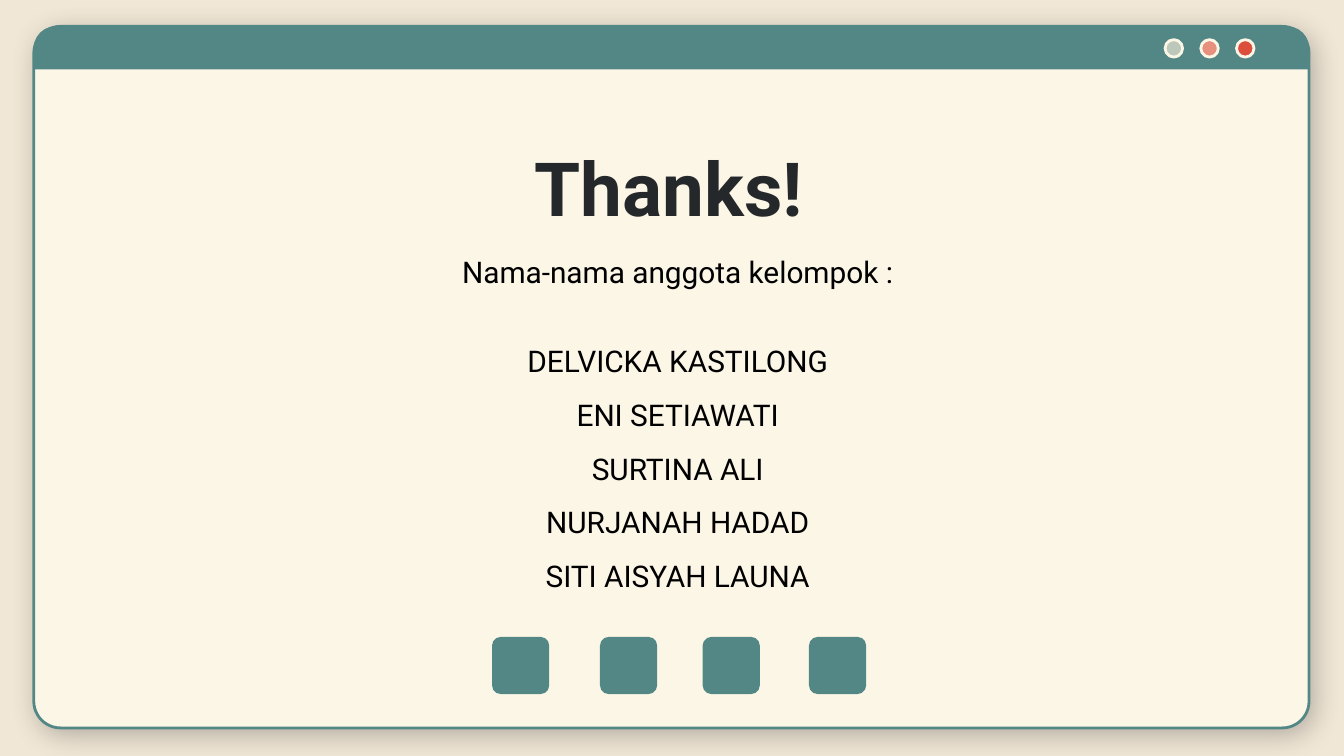
from lxml import etree
from pptx import Presentation
from pptx.dml.color import RGBColor
from pptx.enum.shapes import MSO_SHAPE as Preset
from pptx.enum.text import MSO_ANCHOR as Anchor, PP_ALIGN as Align
from pptx.oxml.ns import qn
from pptx.util import Cm, Pt

COLORS = {
    "backdrop": "F1E7D6",
    "window": "FCF6E7",
    "teal": "538786",
    "sage": "BBC8BA",
    "salmon": "E6907D",
    "red": "DD4F3D",
    "ink": "24282A",
    "black": "000000",
}
FONT = "Roboto"
MEMBERS = [
    "DELVICKA KASTILONG",
    "ENI SETIAWATI",
    "SURTINA ALI",
    "NURJANAH HADAD",
    "SITI AISYAH LAUNA",
]


def rgb(name):
    return RGBColor.from_string(COLORS[name])


def add_shape(page, preset, left, top, width, height, fill, line=None, adjust=()):
    shape = page.shapes.add_shape(preset, Cm(left), Cm(top), Cm(width), Cm(height))
    shape.shadow.inherit = False
    shape.fill.solid()
    shape.fill.fore_color.rgb = rgb(fill)
    if line:
        shape.line.color.rgb = rgb(line)
        shape.line.width = Pt(1.5)
    else:
        shape.line.fill.background()
    for index, value in enumerate(adjust):
        shape.adjustments[index] = value
    return shape


def add_soft_shadow(shape, color, opacity, blur, distance, angle):
    effects = shape._element.spPr.find(qn("a:effectLst"))
    shadow = etree.SubElement(
        effects, qn("a:outerShdw"), blurRad=str(Pt(blur)), dist=str(Pt(distance)),
        dir=str(angle * 60000), algn="bl", rotWithShape="0")
    tint = etree.SubElement(shadow, qn("a:srgbClr"), val=COLORS[color])
    etree.SubElement(tint, qn("a:alpha"), val=str(opacity * 1000))


def add_box(page, left, top, width, height, anchor=Anchor.TOP):
    box = page.shapes.add_textbox(Cm(left), Cm(top), Cm(width), Cm(height))
    frame = box.text_frame
    frame.word_wrap = True
    frame.vertical_anchor = anchor
    frame.margin_left = frame.margin_right = Cm(0.25)
    frame.margin_top = frame.margin_bottom = Cm(0.25)
    return frame


def write(frame, text, size=16, color="black", bold=False, spacing=1.0, before=0):
    # The first text goes into the paragraph that every frame starts with
    para = frame.paragraphs[0]
    if para.runs:
        para = frame.add_paragraph()
    para.alignment = Align.CENTER
    para.line_spacing = spacing
    para.space_before = Pt(before)
    span = para.add_run()
    span.text = text
    span.font.name = FONT
    span.font.size = Pt(size)
    span.font.bold = bold
    span.font.color.rgb = rgb(color)


def add_window(page):
    left, top, width = 0.64, 0.5, 24.1
    body = add_shape(page, Preset.ROUNDED_RECTANGLE, left, top, width, 13.26,
                     "window", line="teal", adjust=[0.038])
    add_soft_shadow(body, "ink", opacity=30, blur=14.6, distance=3.8, angle=50)
    add_shape(page, Preset.ROUND_2_SAME_RECTANGLE, left, top, width, 0.81,
              "teal", adjust=[0.5, 0])
    # Window buttons
    for index, color in enumerate(["sage", "salmon", "red"]):
        add_shape(page, Preset.OVAL, 22.02 + index * 0.675, 0.75, 0.33, 0.33,
                  color, line="window")


def add_social_tiles(page):
    for left in (9.3, 11.34, 13.28, 15.29):
        add_shape(page, Preset.ROUNDED_RECTANGLE, left, 12.04, 1.08, 1.08,
                  "teal", adjust=[0.15])


def main():
    deck = Presentation()
    deck.slide_width, deck.slide_height = Cm(25.4), Cm(14.29)
    page = deck.slides.add_slide(deck.slide_layouts[6])
    page.background.fill.solid()
    page.background.fill.fore_color.rgb = rgb("backdrop")

    add_window(page)

    # Title
    title = add_box(page, 7.52, 2.29, 10.24, 2.34, anchor=Anchor.BOTTOM)
    write(title, "Thanks!", size=40, color="ink", bold=True)

    # Group members
    names = add_box(page, 7.54, 4.55, 10.54, 6.6)
    write(names, "Nama-nama anggota kelompok :")
    for index, member in enumerate(MEMBERS):
        write(names, member, spacing=1.5, before=0 if index else 19)

    add_social_tiles(page)
    deck.save("out.pptx")


if __name__ == "__main__":
    main()
